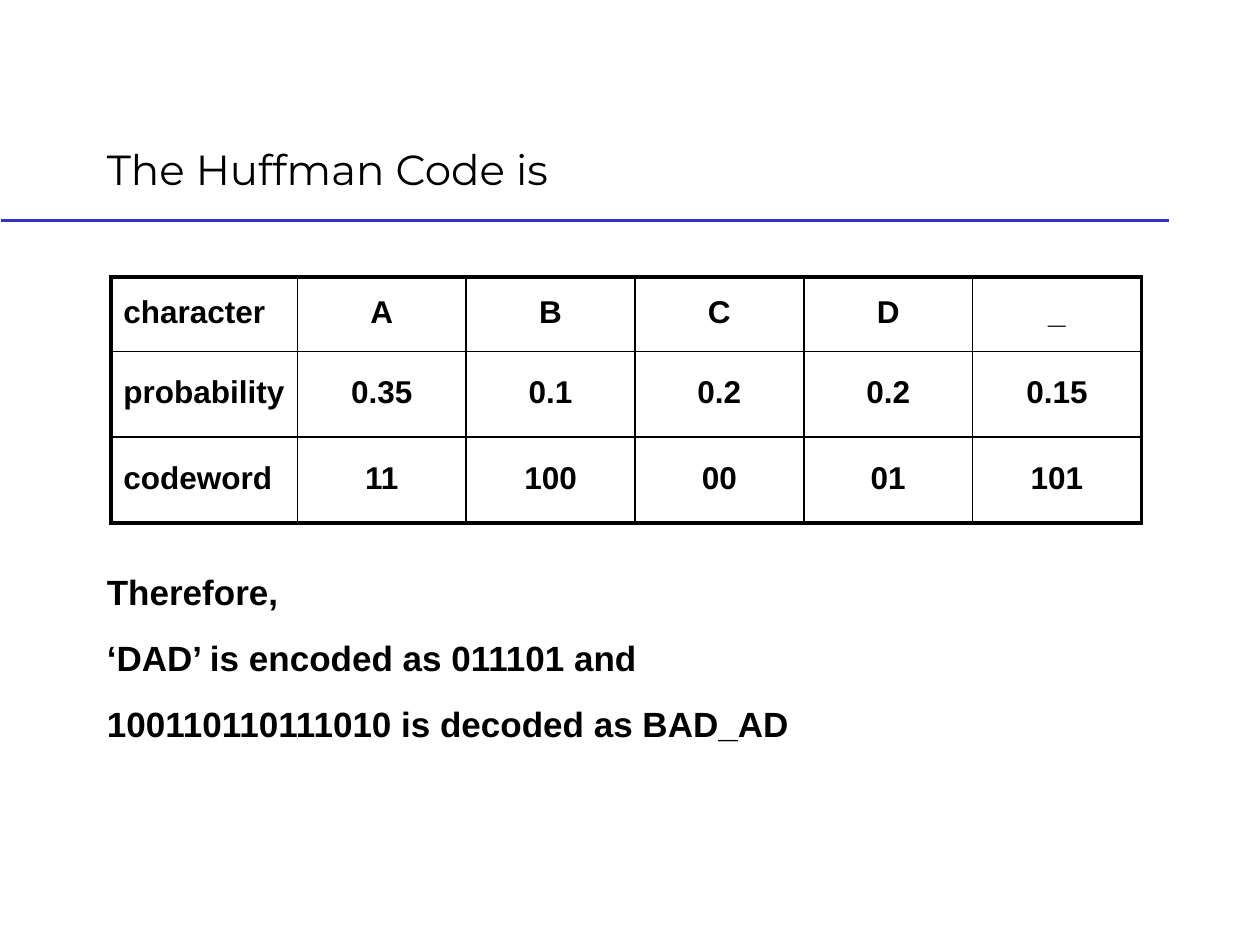
from dataclasses import dataclass

from lxml import etree
from pptx import Presentation
from pptx.dml.color import RGBColor
from pptx.enum.shapes import MSO_CONNECTOR
from pptx.enum.text import MSO_ANCHOR, PP_ALIGN
from pptx.oxml.ns import qn
from pptx.util import Inches, Pt

STRAIGHT = MSO_CONNECTOR.STRAIGHT
BOTTOM, MIDDLE = MSO_ANCHOR.BOTTOM, MSO_ANCHOR.MIDDLE
LEFT, CENTER = PP_ALIGN.LEFT, PP_ALIGN.CENTER


@dataclass(frozen=True)
class Theme:
    ink: str = "000000"
    rule: str = "3333CC"
    title_font: str = "Montserrat"
    body_font: str = "Arial"
    title_size: float = 24
    body_size: float = 20
    cell_size: float = 18
    thin: float = 1
    thick: float = 2.25
    rule_width: float = 1.5
    line_spacing: float = 0.9
    space_before: float = 16


T = Theme()


def style(p, font, size, bold):
    for r in p.runs:
        r.font.name = font
        r.font.size = Pt(size)
        r.font.bold = bold
        r.font.color.rgb = RGBColor.from_string(T.ink)


def border(cell, widths):
    tc_pr = cell._tc.get_or_add_tcPr()
    for i, (side, width) in enumerate(widths.items()):
        ln = etree.Element(qn(f"a:ln{side}"), w=str(Pt(width)))
        fill = etree.SubElement(ln, qn("a:solidFill"))
        etree.SubElement(fill, qn("a:srgbClr"), val=T.ink)
        tc_pr.insert(i, ln)


prs = Presentation()
prs.slide_width, prs.slide_height = Inches(10), Inches(7.5)
W, H = prs.slide_width, prs.slide_height
s = prs.slides.add_slide(prs.slide_layouts[6])
margin, content = int(W * 0.075), int(W * 0.85)

rule_y = Inches(1.75)
rule = s.shapes.add_connector(STRAIGHT, Inches(0.01), rule_y, int(W * 0.928), rule_y)
rule.line.color.rgb = RGBColor.from_string(T.rule)
rule.line.width = Pt(T.rule_width)
etree.SubElement(rule._element.spPr, qn("a:effectLst"))

title = s.shapes.add_textbox(margin, Inches(0.67), content, Inches(0.92))
tf = title.text_frame
tf.word_wrap = True
tf.vertical_anchor = BOTTOM
tf.text = "The Huffman Code is"
style(tf.paragraphs[0], T.title_font, T.title_size, False)

lines = [
    "Therefore,",
    "‘DAD’ is encoded as 011101 and",
    "100110110111010 is decoded as BAD_AD",
]
body = s.shapes.add_textbox(margin, Inches(4.52), content, int(H * 0.32))
tf = body.text_frame
tf.word_wrap = True
for i, line in enumerate(lines):
    p = tf.add_paragraph() if i else tf.paragraphs[0]
    p.text = line
    p.line_spacing = T.line_spacing
    if i:
        p.space_before = Pt(T.space_before)
    style(p, T.body_font, T.body_size, True)

rows = [
    ["character", "A", "B", "C", "D", "_"],
    ["probability", "0.35", "0.1", "0.2", "0.2", "0.15"],
    ["codeword", "11", "100", "00", "01", "101"],
]
col_widths = [1.48] + [1.34] * 5
row_heights = [0.59, 0.68, 0.68]
last_row, last_col = len(rows) - 1, len(col_widths) - 1
frame = s.shapes.add_table(
    len(rows), len(col_widths), Inches(0.88), Inches(2.2),
    Inches(sum(col_widths)), Inches(sum(row_heights)),
)
code_table = frame.table
code_table.first_row = code_table.horz_banding = False
for col, width in zip(code_table.columns, col_widths):
    col.width = Inches(width)
for row, height in zip(code_table.rows, row_heights):
    row.height = Inches(height)

for i, values in enumerate(rows):
    for j, value in enumerate(values):
        cell = code_table.cell(i, j)
        cell.fill.background()
        cell.vertical_anchor = MIDDLE
        cell.text = value
        p = cell.text_frame.paragraphs[0]
        p.alignment = CENTER if j else LEFT
        p.line_spacing = T.line_spacing
        style(p, T.body_font, T.cell_size, True)
        outer = {"L": j == 0, "R": j == last_col, "T": i == 0, "B": i == last_row}
        border(cell, {side: T.thick if edge else T.thin for side, edge in outer.items()})

prs.save("out.pptx")
